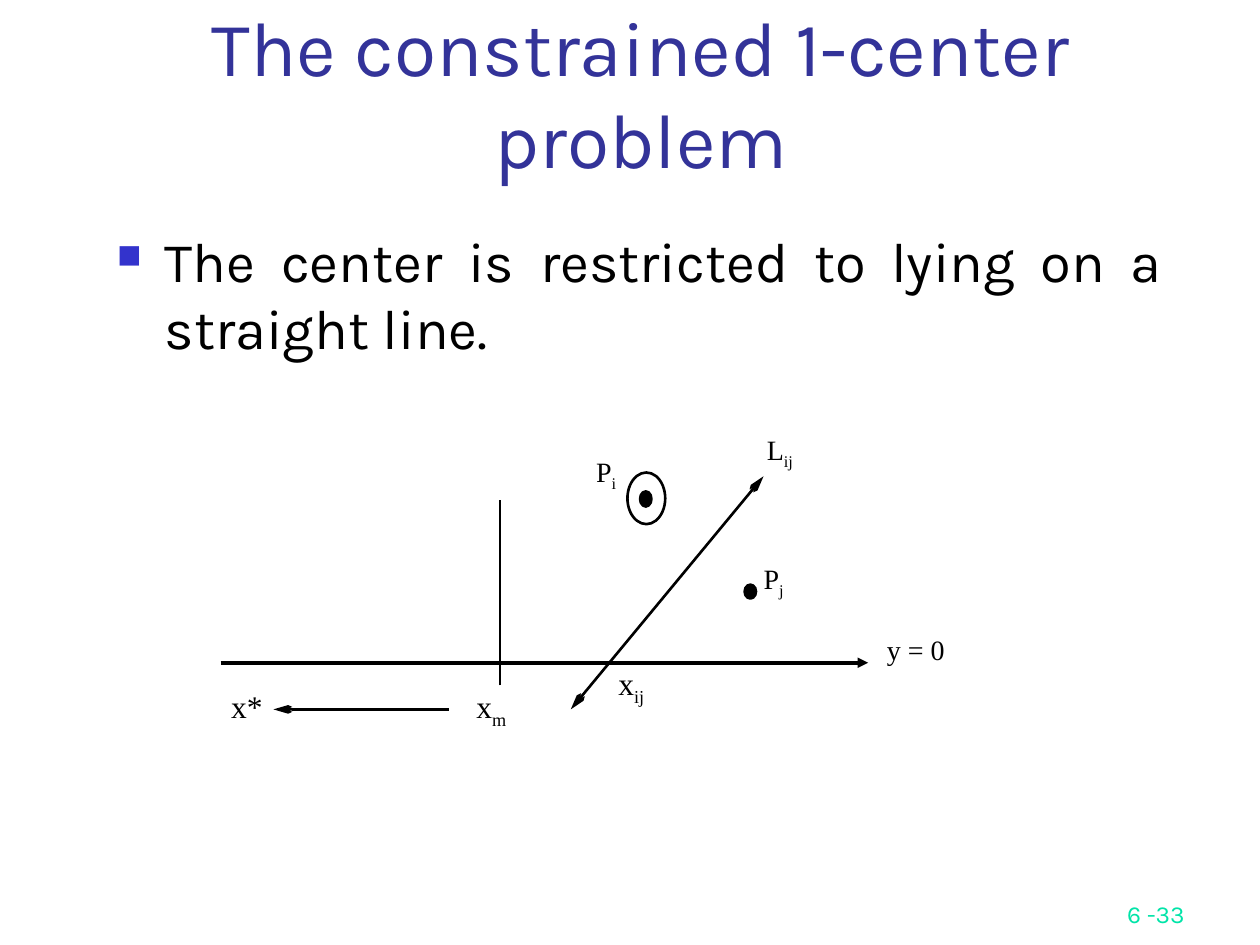
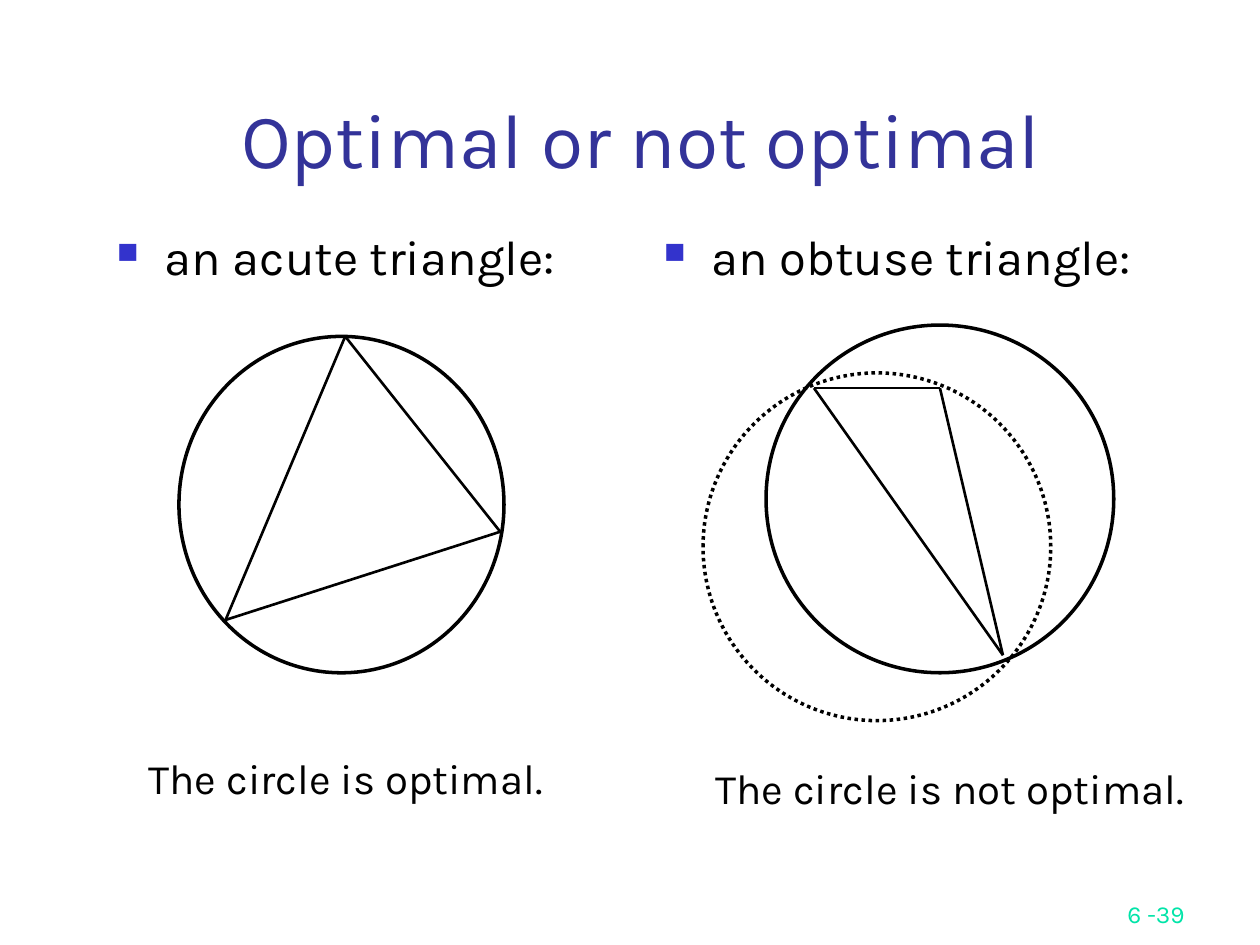
from itertools import pairwise

from lxml.etree import SubElement
from pptx import Presentation
from pptx.dml.color import RGBColor
from pptx.enum.dml import MSO_LINE
from pptx.enum.shapes import MSO_CONNECTOR, MSO_SHAPE
from pptx.enum.text import MSO_ANCHOR, MSO_AUTO_SIZE, PP_ALIGN
from pptx.oxml.ns import qn
from pptx.util import Inches, Pt

SANS, SERIF = "Karla", "Times New Roman"
INK, NAVY, BLUE, MINT = "000000", "333399", "3333CC", "00E4A8"
LEFT, MID, RIGHT = PP_ALIGN.LEFT, PP_ALIGN.CENTER, PP_ALIGN.RIGHT
THIN, THICK = 1.5, 2


def color(code):
    return RGBColor.from_string(code)


def style(font, size, name=SANS, code=INK):
    font.size = Pt(size)
    font.name = name
    font.color.rgb = color(code)


def add_text(slide, box, text, size, align=LEFT, code=INK, anchor=MSO_ANCHOR.TOP):
    shape = slide.shapes.add_textbox(*map(Inches, box))
    frame = shape.text_frame
    frame.word_wrap = True
    frame.vertical_anchor = anchor
    frame.text = text
    para = frame.paragraphs[0]
    para.alignment = align
    style(para.runs[0].font, size, code=code)
    return frame


def add_bullet(slide, box, text, size, align=LEFT):
    para = add_text(slide, box, text, size, align).paragraphs[0]
    props = para._p.get_or_add_pPr()
    hang = Inches(0.38)
    props.set("marL", str(hang))
    props.set("indent", str(-hang))
    tint = SubElement(props, qn("a:buClr"))
    SubElement(tint, qn("a:srgbClr"), val=BLUE)
    SubElement(props, qn("a:buSzPct"), val="60000")
    SubElement(props, qn("a:buChar"), char="■")


def add_label(slide, box, text, sub="", size=16, align=MID):
    """Add a diagram label, with an optional subscript."""
    frame = add_text(slide, box, text, size, align)
    frame.margin_left = frame.margin_right = Inches(0.01)
    frame.margin_top = frame.margin_bottom = Inches(0.01)
    para = frame.paragraphs[0]
    if sub:
        run = para.add_run()
        run.text = sub
        run._r.get_or_add_rPr().set("baseline", "-25000")
    for run in para.runs:
        style(run.font, size, SERIF)


def draw(line, width):
    line.color.rgb = color(INK)
    line.width = Pt(width)


def add_line(slide, start, end, width=THIN, **ends):
    """Join two points; ends maps headEnd or tailEnd to an arrow type."""
    link = slide.shapes.add_connector(
        MSO_CONNECTOR.STRAIGHT, *map(Inches, (*start, *end)))
    draw(link.line, width)
    outline = link.line._get_or_add_ln()
    for side, kind in ends.items():
        tip = SubElement(outline, qn(f"a:{side}"), type=kind)
        if kind == "arrow":
            tip.set("w", "sm")
            tip.set("len", "lg")
    SubElement(link._element.spPr, qn("a:effectLst"))


def add_oval(slide, box, width=THIN, fill=None, dash=None):
    oval = slide.shapes.add_shape(MSO_SHAPE.OVAL, *map(Inches, box))
    oval.shadow.inherit = False
    if fill:
        oval.fill.solid()
        oval.fill.fore_color.rgb = color(fill)
    else:
        oval.fill.background()
    draw(oval.line, width)
    if dash:
        oval.line.dash_style = dash


def add_outline(slide, points):
    first, *rest = [tuple(map(Inches, point)) for point in points]
    pen = slide.shapes.build_freeform(*first)
    pen.add_line_segments(rest, close=True)
    shape = pen.convert_to_shape()
    shape.shadow.inherit = False
    shape.fill.background()
    draw(shape.line, THIN)


def add_slide(deck, title, page):
    slide = deck.slides.add_slide(deck.slide_layouts[5])
    head = slide.shapes.title
    head.left, head.top, head.width, head.height = map(
        Inches, (0.83, 0.67, 8.52, 0.84))
    frame = head.text_frame
    frame.text = title
    frame.word_wrap = True
    frame.auto_size = MSO_AUTO_SIZE.NONE
    frame.vertical_anchor = MSO_ANCHOR.BOTTOM
    para = frame.paragraphs[0]
    para.alignment = MID
    style(para.runs[0].font, 44, code=NAVY)
    add_text(slide, (7.42, 6.92, 2.08, 0.5), f"6 -{page}", 14, RIGHT, MINT,
             MSO_ANCHOR.BOTTOM)
    return slide


def center_slide(deck):
    slide = add_slide(deck, "The constrained 1-center problem", 33)
    add_bullet(slide, (0.83, 1.75, 8.5, 4.5),
               "The center is restricted to lying on a straight line.",
               32, PP_ALIGN.JUSTIFY)

    add_line(slide, (1.75, 5.26), (6.89, 5.26), THICK, tailEnd="triangle")
    add_line(slide, (3.97, 5.44), (3.97, 3.97))
    add_line(slide, (4.53, 5.63), (6.06, 3.78), headEnd="arrow", tailEnd="arrow")
    add_line(slide, (3.56, 5.63), (2.17, 5.63), tailEnd="arrow")

    add_oval(slide, (5.91, 4.64, 0.09, 0.11), fill=INK)
    add_oval(slide, (5.08, 3.9, 0.09, 0.12), fill=INK)
    add_oval(slide, (4.98, 3.75, 0.3, 0.41))

    tall = 0.55
    add_label(slide, (7.03, 5.01, 0.56, tall), "y = 0", align=LEFT)
    for left, top, text, sub, align in (
            (6.05, 3.42, "L", "ij", MID),
            (4.67, 3.6, "P", "i", MID),
            (6.05, 4.45, "P", "j", LEFT)):
        add_label(slide, (left, top, 0.28, tall), text, sub, align=align)
    for left, top, text, sub in (
            (4.8, 5.26, "x", "ij"),
            (3.69, 5.44, "x", "m"),
            (1.75, 5.44, "x*", "")):
        add_label(slide, (left, top, 0.42, tall), text, sub, 18)


def optimal_slide(deck):
    slide = add_slide(deck, "Optimal or not optimal", 39)
    add_bullet(slide, (0.83, 1.75, 4.17, 4.5), "an acute triangle:", 28,
               PP_ALIGN.JUSTIFY)
    add_bullet(slide, (5.17, 1.75, 4.17, 4.5), "an obtuse triangle:", 28)

    add_oval(slide, (1.42, 2.67, 2.58, 2.67), THICK)
    add_outline(slide, [(2.74, 2.67), (1.79, 4.92), (3.97, 4.22)])
    add_text(slide, (1.08, 5.92, 3.58, 0.5), "The circle is optimal.", 24)

    size = 2.76
    add_oval(slide, (6.08, 2.58, size, size), THICK)
    add_oval(slide, (5.58, 2.96, size, size), THICK, dash=MSO_LINE.ROUND_DOT)
    obtuse = [(7.46, 3.08), (6.46, 3.08), (7.96, 5.2)]
    for start, end in pairwise(obtuse + obtuse[:1]):
        add_line(slide, start, end)
    add_text(slide, (5.58, 6, 4, 0.9), "The circle is not optimal.", 24)


def main():
    deck = Presentation()
    deck.slide_width, deck.slide_height = Inches(10), Inches(7.5)
    center_slide(deck)
    optimal_slide(deck)
    deck.save("out.pptx")


if __name__ == "__main__":
    main()
